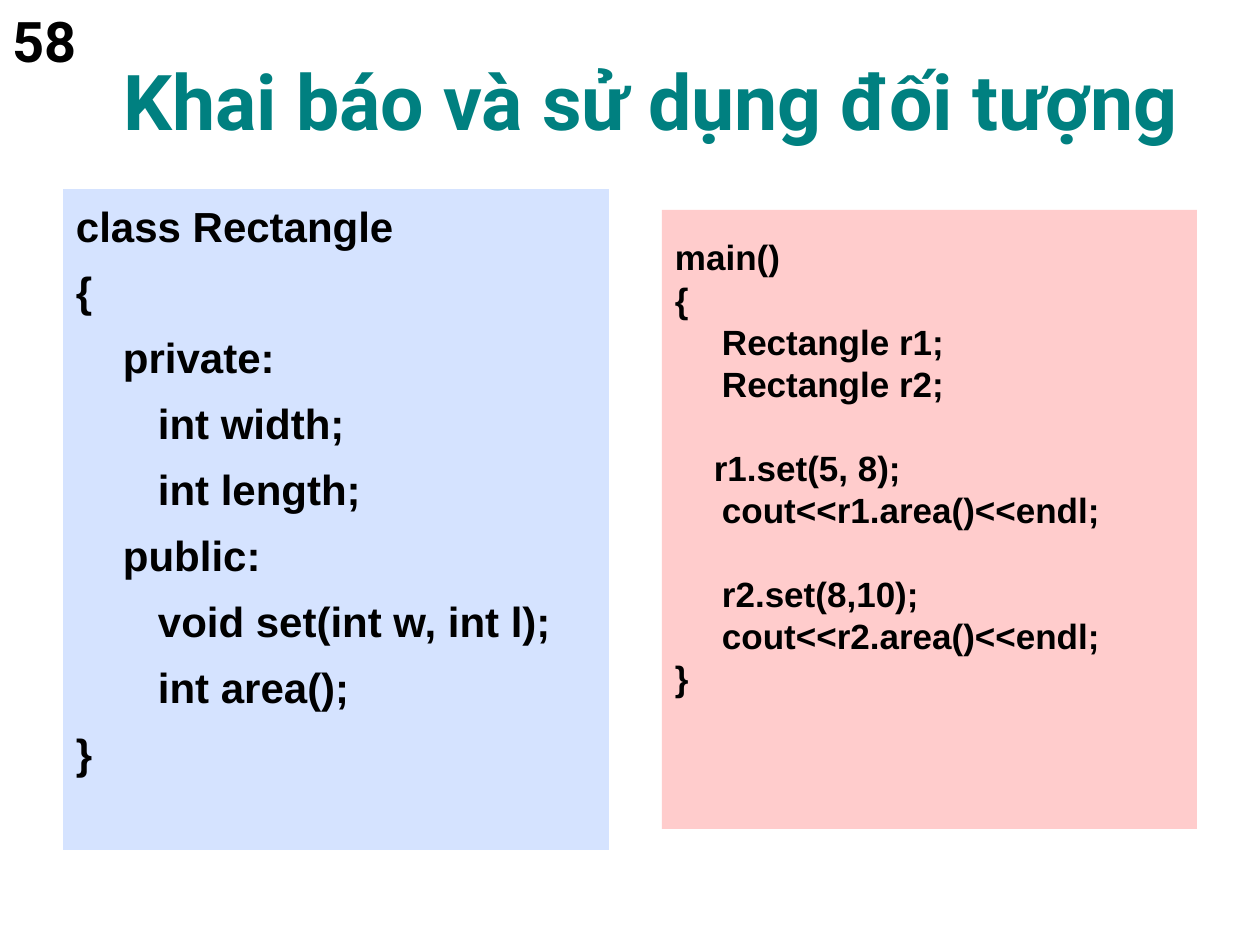
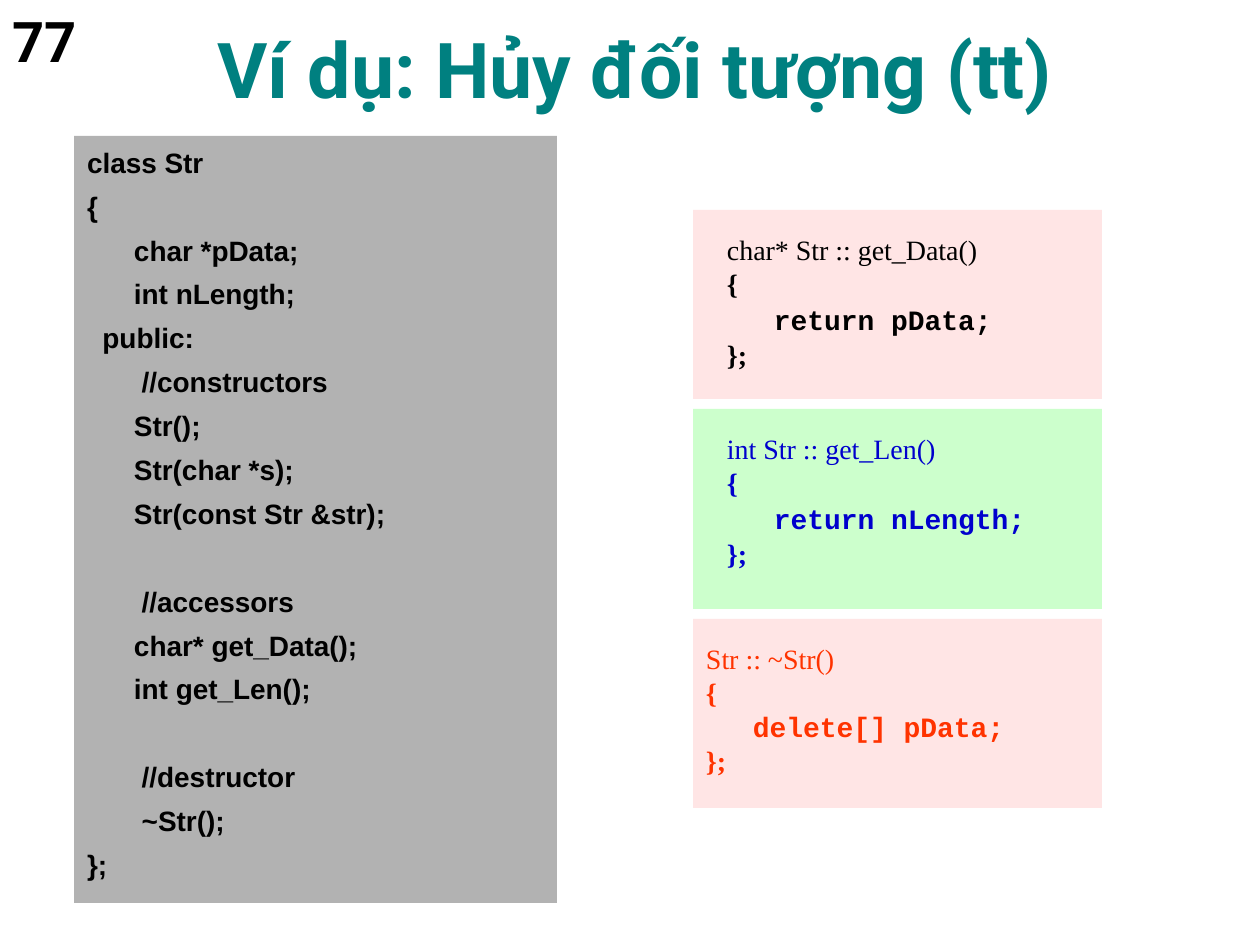
from pptx import Presentation
from pptx.dml.color import RGBColor
from pptx.enum.shapes import MSO_SHAPE
from pptx.enum.text import MSO_ANCHOR, PP_ALIGN
from pptx.util import Pt

SCALE = 914400 / 126
BLACK = RGBColor(0, 0, 0)
WHITE = RGBColor(255, 255, 255)
TEAL = RGBColor(0, 128, 128)
SKY = RGBColor(0xD5, 0xE3, 0xFF)
PINK = RGBColor(0xFF, 0xCC, 0xCC)
ROSE = RGBColor(0xFF, 0xE5, 0xE5)
MINT = RGBColor(0xCC, 0xFF, 0xCC)
GRAY = RGBColor(0xB2, 0xB2, 0xB2)
BLUE = RGBColor(0, 0, 0xCC)
RED = RGBColor(0xFF, 0x33, 0)

CLASS = """class Rectangle
{
\tprivate:
\t   int width;
\t   int length;
\tpublic:
\t   void set(int w, int l);
\t   int area();
}"""

MAIN = """main()
{
\tRectangle r1;
\tRectangle r2;

    r1.set(5, 8);
\tcout<<r1.area()<<endl;

\tr2.set(8,10);
\tcout<<r2.area()<<endl;
}"""

STR = """class Str
{
\tchar *pData;
\tint nLength;
  public:
\t //constructors
\tStr();
\tStr(char *s);
\tStr(const Str &str);

\t //accessors
\tchar* get_Data();
\tint get_Len();

\t //destructor
\t ~Str();
};"""


def px(n):
    """Turn pixels into EMU."""
    return round(n * SCALE)


def style(para, size, face, color, bold=True):
    """Set the font of a whole paragraph."""
    font = para.font
    font.size, font.name, font.bold = Pt(size), face, bold
    font.color.rgb = color


def label(slide, text, place, size, color, align, anchor):
    """Add one line of bold Roboto text."""
    frame = slide.shapes.add_textbox(*map(px, place)).text_frame
    frame.word_wrap = True
    frame.vertical_anchor = anchor
    para = frame.paragraphs[0]
    para.text, para.alignment = text, align
    style(para, size, "Roboto", color)


def page(deck, number, title, place):
    """Add a white slide with its title and number."""
    slide = deck.slides.add_slide(deck.slide_layouts[6])
    slide.background.fill.solid()
    slide.background.fill.fore_color.rgb = WHITE
    label(slide, title, place, 44, TEAL, PP_ALIGN.CENTER, MSO_ANCHOR.BOTTOM)
    label(slide, number, (0, 0, 136, 89), 32, BLACK, PP_ALIGN.LEFT, MSO_ANCHOR.TOP)
    return slide


def panel(slide, place, fill, top, left=13):
    """Add a filled box and return its text frame."""
    box = slide.shapes.add_shape(MSO_SHAPE.RECTANGLE, *map(px, place))
    box.shadow.inherit = False
    box.fill.solid()
    box.fill.fore_color.rgb = fill
    box.line.fill.background()
    frame = box.text_frame
    frame.word_wrap = True
    frame.vertical_anchor = MSO_ANCHOR.TOP
    frame.margin_top, frame.margin_left = px(top), px(left)
    return frame


def add_line(frame, text, lead, before):
    """Add a code line with a hanging indent."""
    first = not frame.text
    para = frame.paragraphs[0] if first else frame.add_paragraph()
    para.text, para.alignment = text, PP_ALIGN.LEFT
    para.line_spacing = lead
    para.space_before = Pt(0 if first else before)
    props = para._p.get_or_add_pPr()
    props.set("marL", str(px(47)))
    props.set("indent", str(px(-47)))
    return para


def listing(frame, code, size, lead, before, gap):
    """Write a bold listing, with an empty line as a gap."""
    extra = 0
    for text in code.split("\n"):
        if text:
            para = add_line(frame, text, lead, before + extra)
            style(para, size, "Arial", BLACK)
        extra = 0 if text else gap


def method(slide, place, fill, color, left, head, body, lead):
    """Add a box that shows one method."""
    frame = panel(slide, place, fill, 29, left)
    rows = ((head, "Times New Roman", 0.8), ("{", "Times New Roman", 0.8),
            ("\t" + body, "Courier New", lead), ("};", "Times New Roman", 0.8))
    for text, face, space in rows:
        style(add_line(frame, text, space, 4), 16, face, color, text != head)


def main():
    """Build and save both slides."""
    deck = Presentation()
    deck.slide_width, deck.slide_height = px(1260), px(945)

    slide = page(deck, "58", "Khai báo và sử dụng đối tượng", (42, 53, 1218, 99))
    listing(panel(slide, (63, 189, 546, 661), SKY, 6), CLASS, 24, 1.1, 6, 0)
    listing(panel(slide, (662, 210, 535, 619), PINK, 34), MAIN, 20, 0.8, 5, 23.5)

    slide = page(deck, "77", "Ví dụ: Hủy đối tượng (tt)", (42, 21, 1187, 99))
    listing(panel(slide, (74, 136, 483, 767), GRAY, 6), STR, 16, 1.1, 4, 25)
    for top, high, *look in (
            (210, 189, ROSE, BLACK, 34, "char* Str :: get_Data()", "return pData;", 0.9),
            (409, 200, MINT, BLUE, 34, "int Str :: get_Len()", "return nLength;", 0.9),
            (619, 189, ROSE, RED, 13, "Str :: ~Str()", "delete[] pData;", 0.8)):
        method(slide, (693, top, 409, high), *look)

    deck.save("out.pptx")


if __name__ == "__main__":
    main()
